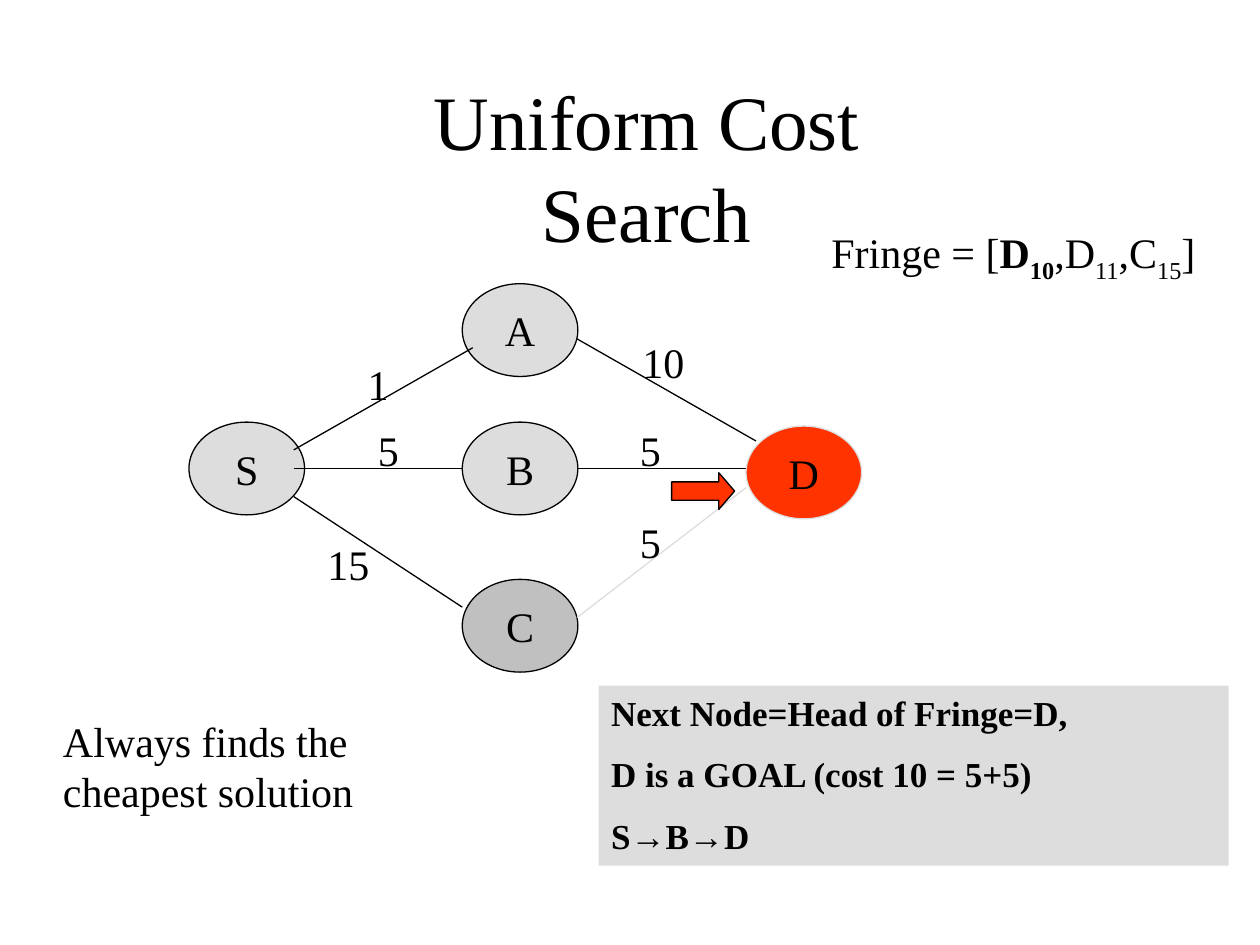
"""Builds a slide on uniform cost search with its graph and fringe."""
import pptx
import pptx.util
import pptx.dml.color
import pptx.enum.shapes
import pptx.enum.text
import lxml.etree

Cm, Pt = pptx.util.Cm, pptx.util.Pt
Kind = pptx.enum.shapes.MSO_SHAPE
Align = pptx.enum.text.PP_ALIGN
Anchor = pptx.enum.text.MSO_ANCHOR

FONT = "Times New Roman"
BLACK, WHITE, PALE, GREY, RED = "000000", "FFFFFF", "DDDDDD", "C0C0C0", "FF3300"

TITLE = "Uniform Cost Search"
FRINGE = [[("Fringe = [", ""), ("D", "b"), ("10", "bs"), (",D", ""),
           ("11", "s"), (",C", ""), ("15", "s"), ("]", "")]]
GOAL = [[("Next Node=Head of Fringe=D,", "b")],
        [("D is a GOAL (cost 10 = 5+5)", "b")],
        [("S→B→D", "b")]]
NOTE = [[("Always finds the", "")], [("cheapest solution", "")]]

NODE = (2.33, 1.87)
NODES = [
    ("D", 15.04, 8.59, RED, PALE),
    ("S", 3.81, 8.51, PALE, BLACK),
    ("A", 9.32, 5.72, PALE, BLACK),
    ("B", 9.32, 8.51, PALE, BLACK),
    ("C", 9.32, 11.68, GREY, BLACK),
]
EDGES = [
    (5.92, 9.07, 9.53, 7.01, BLACK),
    (5.92, 9.45, 9.32, 9.45, BLACK),
    (5.92, 10.01, 9.32, 12.24, BLACK),
    (11.63, 6.83, 15.24, 8.89, BLACK),
    (11.63, 9.45, 15.04, 9.45, BLACK),
    (11.63, 12.45, 15.04, 9.83, PALE),
]
COSTS = [
    ("1", 7.16, 7.11), ("5", 7.37, 8.43), ("15", 6.35, 10.74),
    ("5", 12.65, 10.29), ("5", 12.65, 8.43), ("10", 12.7, 6.65),
]


def tint(code):
    return pptx.dml.color.RGBColor.from_string(code)


def write(shape, paras, size=24, align=Align.LEFT, anchor=Anchor.TOP, wrap=False, gap=0):
    frame = shape.text_frame
    frame.word_wrap, frame.vertical_anchor = wrap, anchor
    for i, runs in enumerate(paras):
        para = frame.add_paragraph() if i else frame.paragraphs[0]
        para.alignment = align
        para.space_before = Pt(gap if i else 0)
        for text, style in runs:
            run = para.add_run()
            run.text = text
            font = run.font
            font.name, font.size, font.bold = FONT, Pt(size), "b" in style
            font.color.rgb = tint(BLACK)
            if "s" in style:
                run._r.get_or_add_rPr().set("baseline", "-25000")


def draw(kind, box, fill, line=None):
    shape = slide.shapes.add_shape(kind, *map(Cm, box))
    shape.shadow.inherit = False
    shape.fill.solid()
    shape.fill.fore_color.rgb = tint(fill)
    if line:
        shape.line.color.rgb = tint(line)
        shape.line.width = Pt(0.75)
    else:
        shape.line.fill.background()
    return shape


def link(x1, y1, x2, y2, code):
    line = slide.shapes.add_connector(
        pptx.enum.shapes.MSO_CONNECTOR.STRAIGHT, *map(Cm, (x1, y1, x2, y2)))
    line.line.color.rgb = tint(code)
    line.line.width = Pt(0.75)
    props = line._element.spPr
    lxml.etree.SubElement(props, pptx.oxml.ns.qn("a:effectLst"))


def label(box, paras):
    write(slide.shapes.add_textbox(*map(Cm, box)), paras)


deck = pptx.Presentation()
deck.slide_width, deck.slide_height = Cm(25.4), Cm(19.05)
slide = deck.slides.add_slide(deck.slide_layouts[5])

title = slide.shapes.title
title.left, title.top, title.width, title.height = map(Cm, (6.64, 1.35, 12.8, 3.9))
write(title, [[(TITLE, "")]], 44, Align.CENTER, wrap=True)

write(draw(Kind.RECTANGLE, (16.51, 4.45, 8.1, 1.27), WHITE), FRINGE)
write(draw(Kind.RECTANGLE, (12.07, 13.82, 12.7, 3.63), PALE), GOAL, 20, wrap=True, gap=11)

for name, x, y, fill, line in NODES:
    oval = draw(Kind.OVAL, (x, y, *NODE), fill, line)
    write(oval, [[(name, "")]], align=Align.CENTER, anchor=Anchor.MIDDLE)
for edge in EDGES:
    link(*edge)
for cost, x, y in COSTS:
    label((x, y, 0.53 + 0.41 * len(cost), 1.27), [[(cost, "")]])

arrow = draw(Kind.RIGHT_ARROW, (13.54, 9.53, 1.27, 0.74), RED, BLACK)
arrow.adjustments[1] = 0.43
label((1.02, 14.3, 6.45, 2.29), NOTE)

deck.save("out.pptx")
